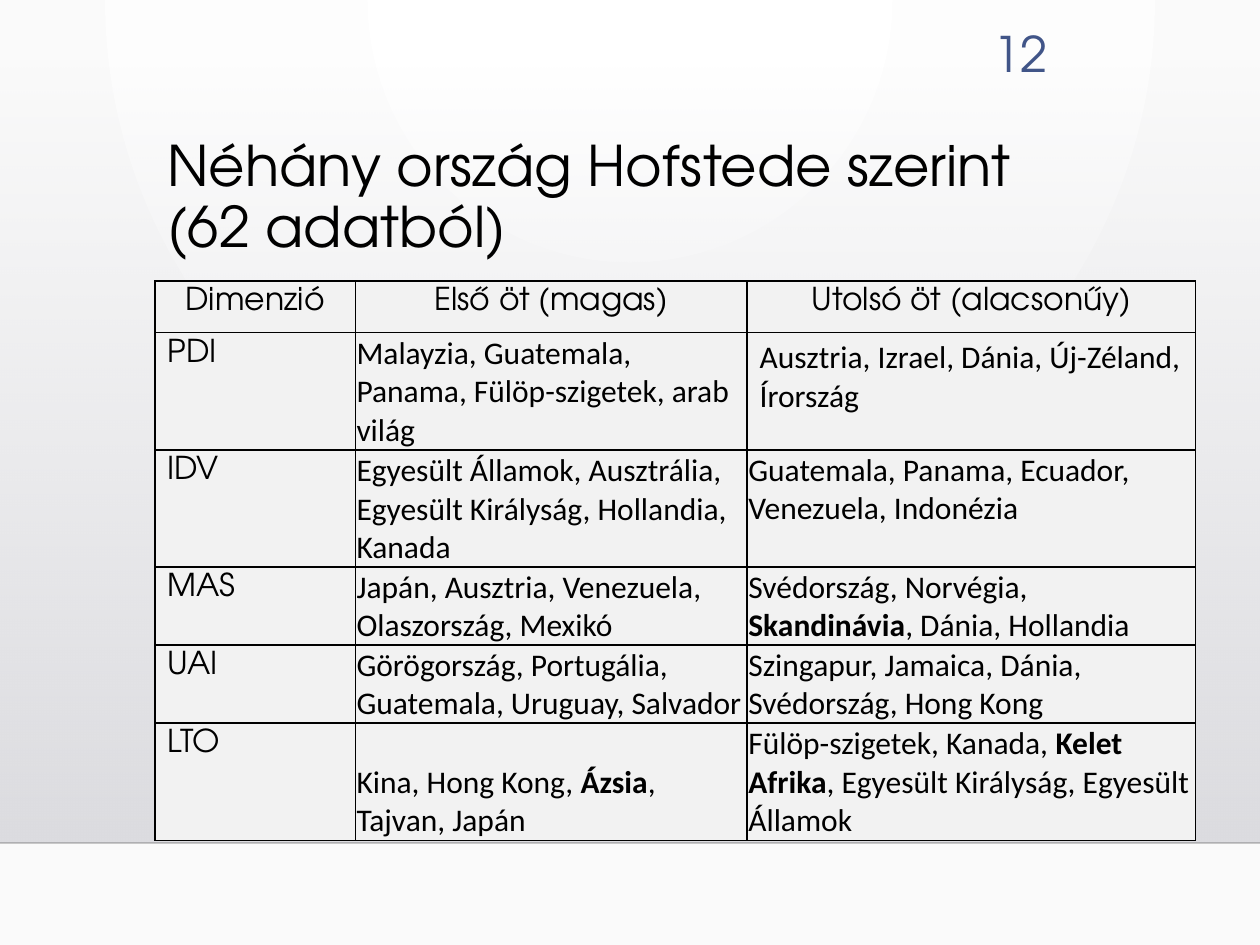
from dataclasses import dataclass

from lxml.etree import SubElement
from pptx import Presentation
from pptx.dml.color import RGBColor
from pptx.enum.shapes import MSO_CONNECTOR, MSO_SHAPE
from pptx.enum.text import MSO_ANCHOR, PP_ALIGN
from pptx.oxml.ns import qn
from pptx.util import Inches, Pt


@dataclass(frozen=True)
class Theme:
    """Colours, fonts and type sizes of the slide."""
    heading_font: str = "TeX Gyre Adventor"
    body_font: str = "Calibri"
    title_size: int = 32
    number_size: int = 28
    table_size: int = 18
    text: str = "000000"
    number: str = "415588"
    cell: str = "F2F2F2"
    backdrop: tuple = ("FFFFFF", "FAFAFA")
    shade: tuple = ("DCDCE0", "DADADF")
    horizon: str = "000001"


def set_text(frame, text, *, font, size, color, align=PP_ALIGN.LEFT, spacing=None):
    """Write text into a frame; parts between asterisks become bold."""
    frame.word_wrap = True
    paragraph = frame.paragraphs[0]
    paragraph.alignment = align
    if spacing:
        paragraph.line_spacing = spacing
    for index, part in enumerate(text.split("*")):
        run = paragraph.add_run()
        run.text = part
        run.font.name = font
        run.font.size = Pt(size)
        run.font.bold = index % 2 == 1
        run.font.color.rgb = RGBColor.from_string(color)


def set_alpha(color_element, percent):
    """Give a colour element an opacity."""
    SubElement(color_element, qn("a:alpha"), val=str(percent * 1000))


def set_gradient(fill, colors):
    """Apply a gradient with two colours."""
    fill.gradient()
    for stop, color in zip(fill.gradient_stops, colors):
        stop.color.rgb = RGBColor.from_string(color)


def set_borders(cell, color, width):
    """Draw a line on all four sides of a table cell."""
    properties = cell._tc.get_or_add_tcPr()
    for position, side in enumerate(("lnL", "lnR", "lnT", "lnB")):
        line = properties.makeelement(qn(f"a:{side}"), {"w": str(Pt(width))})
        fill = SubElement(line, qn("a:solidFill"))
        SubElement(fill, qn("a:srgbClr"), val=color)
        properties.insert(position, line)


class SlideBuilder:
    """Holds the theme and the current slide."""

    def __init__(self, slide, theme):
        """Keep the slide and its theme."""
        self.slide = slide
        self.theme = theme

    def backdrop(self):
        """Fill the background with a circular gradient."""
        set_gradient(self.slide.background.fill, self.theme.backdrop)
        gradient = self.slide._element.find(".//" + qn("a:gradFill"))
        gradient.remove(gradient.find(qn("a:lin")))
        circle = SubElement(gradient, qn("a:path"), {"path": "circle"})
        SubElement(circle, qn("a:fillToRect"), l="43000", t="0", r="43000", b="100000")

    def shade(self, left, top, width, height):
        """Add a panel that fades in from top to bottom."""
        shape = self.slide.shapes.add_shape(
            MSO_SHAPE.RECTANGLE, Inches(left), Inches(top), Inches(width), Inches(height))
        shape.shadow.inherit = False
        shape.line.fill.background()
        set_gradient(shape.fill, self.theme.shade)
        shape.fill.gradient_angle = 270
        colors = shape._element.spPr.iter(qn("a:srgbClr"))
        for color, percent in zip(list(colors), (0, 100)):
            set_alpha(color, percent)

    def horizon(self, top, width):
        """Add a faint line across the slide."""
        line = self.slide.shapes.add_connector(
            MSO_CONNECTOR.STRAIGHT, 0, Inches(top), Inches(width), Inches(top))
        line.line.width = Pt(1)
        line.line.color.rgb = RGBColor.from_string(self.theme.horizon)
        properties = line._element.spPr
        set_alpha(properties.find(".//" + qn("a:srgbClr")), 20)
        SubElement(properties, qn("a:effectLst"))

    def text(self, text, left, top, width, height, **style):
        """Add a text box in the heading font."""
        box = self.slide.shapes.add_textbox(
            Inches(left), Inches(top), Inches(width), Inches(height))
        set_text(box.text_frame, text, font=self.theme.heading_font, **style)

    def table(self, rows, left, top, widths, heights, roomy, top_aligned):
        """Add the table; roomy cells keep the default margins."""
        table = self.slide.shapes.add_table(
            len(rows), len(widths), Inches(left), Inches(top),
            Inches(sum(widths)), Inches(sum(heights))).table
        table.first_row = table.horz_banding = False
        for column, width in zip(table.columns, widths):
            column.width = Inches(width)
        for row, height in zip(table.rows, heights):
            row.height = Inches(height)
        for r, values in enumerate(rows):
            for c, value in enumerate(values):
                cell = table.cell(r, c)
                cell.fill.solid()
                cell.fill.fore_color.rgb = RGBColor.from_string(self.theme.cell)
                set_borders(cell, self.theme.text, 1)
                is_heading = r == 0 or c == 0
                if not is_heading and (r, c) not in roomy:
                    cell.margin_left = cell.margin_right = cell.margin_top = Inches(0.01)
                    cell.margin_bottom = 0
                    if (r, c) not in top_aligned:
                        cell.vertical_anchor = MSO_ANCHOR.BOTTOM
                set_text(
                    cell.text_frame, value,
                    font=self.theme.heading_font if is_heading else self.theme.body_font,
                    size=self.theme.table_size, color=self.theme.text,
                    align=PP_ALIGN.CENTER if r == 0 else PP_ALIGN.LEFT)


COUNTRIES = [
    ("Dimenzió", "Első öt (magas)", "Utolsó öt (alacsonűy)"),
    ("PDI", "Malayzia, Guatemala, Panama, Fülöp-szigetek, arab világ",
     "Ausztria, Izrael, Dánia, Új-Zéland, Írország"),
    ("IDV", "Egyesült Államok, Ausztrália, Egyesült Királyság, Hollandia, Kanada",
     "Guatemala, Panama, Ecuador, Venezuela, Indonézia"),
    ("MAS", "Japán, Ausztria, Venezuela, Olaszország, Mexikó",
     "Svédország, Norvégia, *Skandinávia*, Dánia, Hollandia"),
    ("UAI", "Görögország, Portugália, Guatemala, Uruguay, Salvador",
     "Szingapur, Jamaica, Dánia, Svédország, Hong Kong"),
    ("LTO", "Kina, Hong Kong, *Ázsia*, Tajvan, Japán",
     "Fülöp-szigetek, Kanada, *Kelet Afrika*, Egyesült Királyság, Egyesült Államok"),
]


def main():
    """Build and save the slide."""
    presentation = Presentation()
    presentation.slide_width = Inches(10)
    presentation.slide_height = Inches(7.5)
    theme = Theme()
    builder = SlideBuilder(
        presentation.slides.add_slide(presentation.slide_layouts[6]), theme)
    builder.backdrop()
    builder.shade(0, 0.51, 10, 6.18)
    builder.horizon(6.69, 10)
    builder.text("12", 7.54, 0.14, 0.87, 0.55, size=theme.number_size,
                 color=theme.number, align=PP_ALIGN.RIGHT)
    builder.text("Néhány ország Hofstede szerint (62 adatból)", 1.23, 1.05, 7.19, 1.15,
                 size=theme.title_size, color=theme.text, spacing=0.9)
    three_lines, two_lines = 0.93, 0.62
    builder.table(
        COUNTRIES, 1.23, 2.23, widths=(1.59, 3.11, 3.56),
        heights=(0.41, three_lines, three_lines, two_lines, two_lines, three_lines),
        roomy={(1, 2)}, top_aligned={(2, 2)})
    presentation.save("out.pptx")


main()
